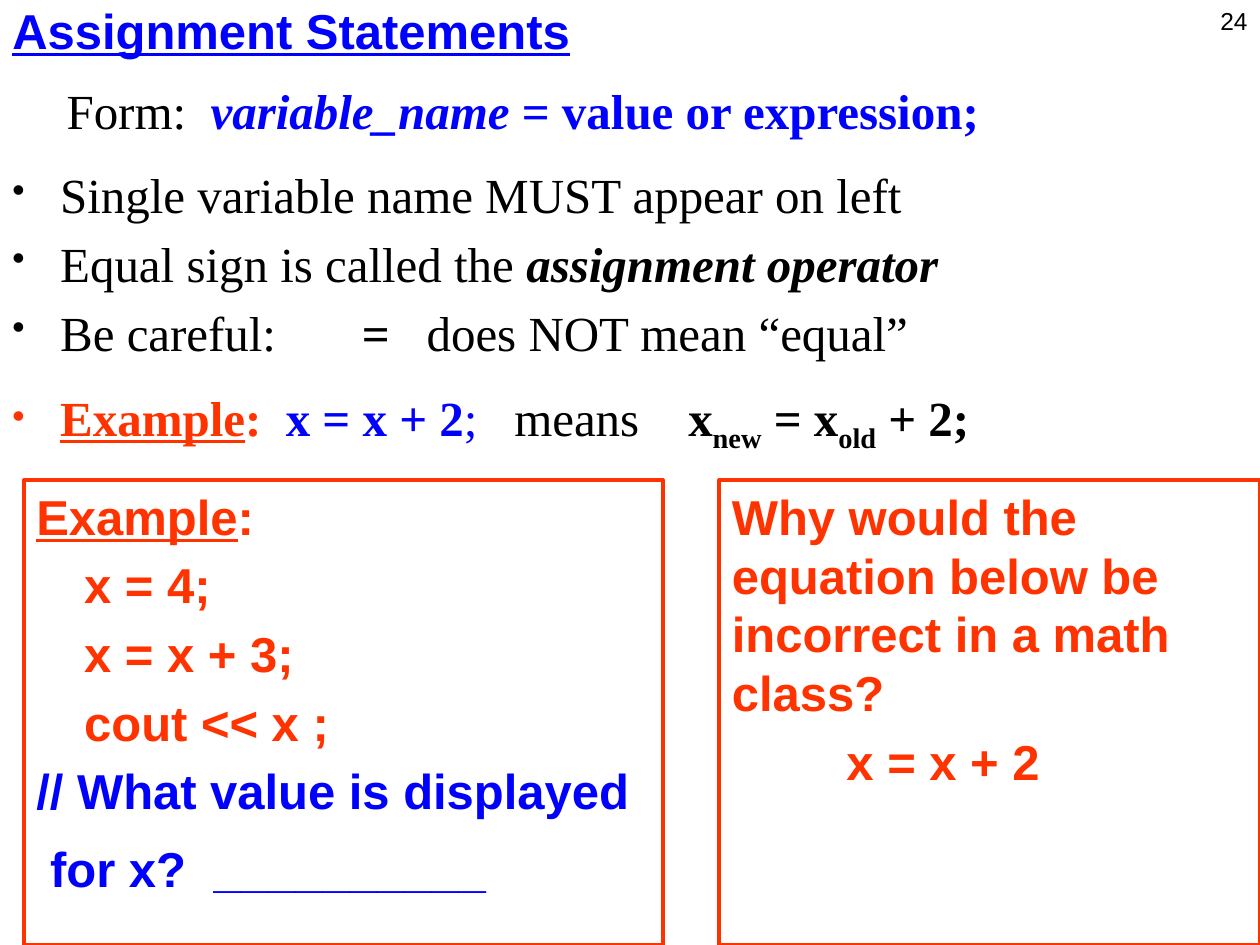
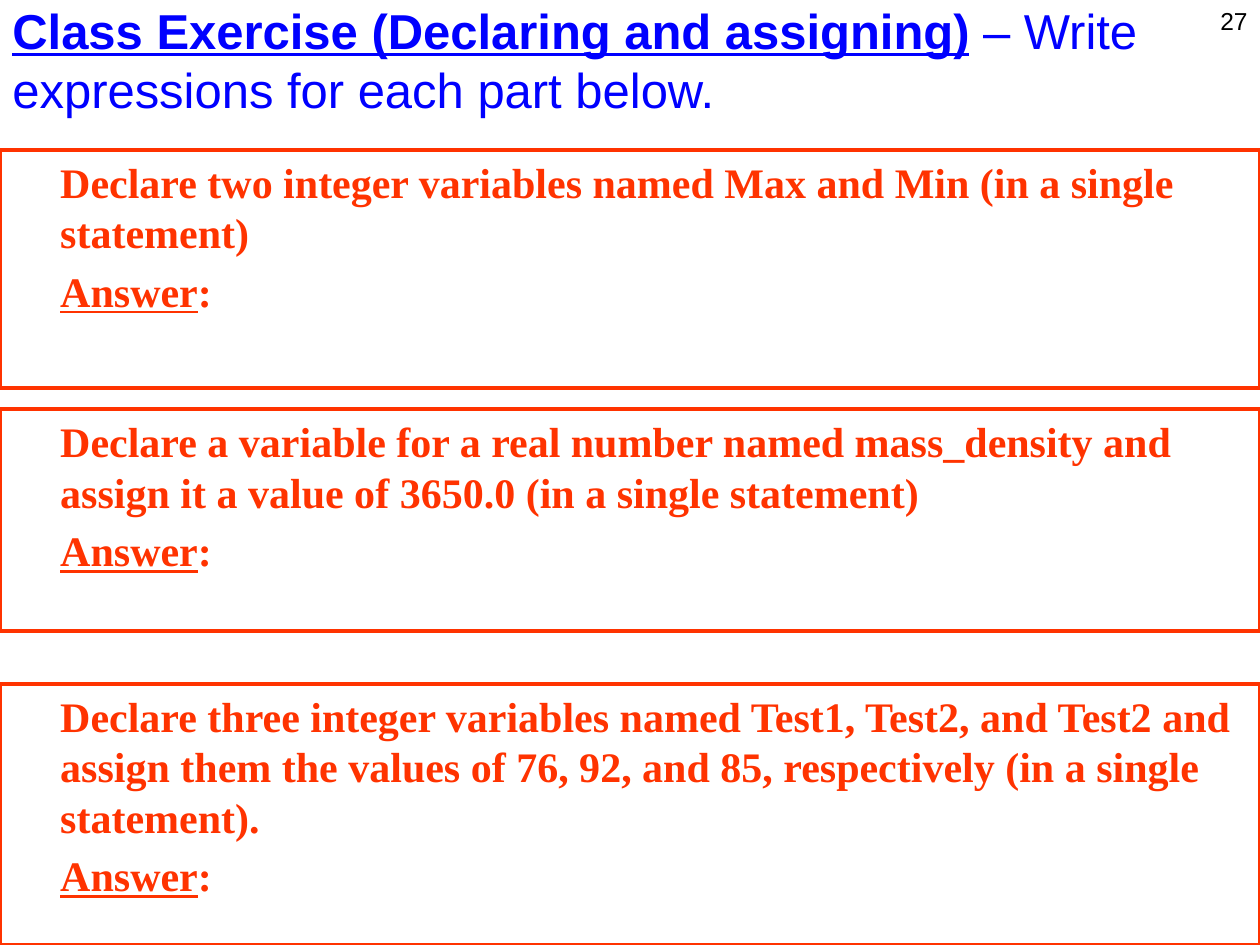
from lxml import etree
from pptx import Presentation
from pptx.dml.color import RGBColor
from pptx.enum import shapes, text
from pptx.oxml.ns import qn
from pptx.util import Inches, Pt

BLACK, BLUE, RED = "000000", "0000FF", "FF3300"
SANS, SERIF = "Arial", "Times New Roman"
HANG = 0.38


def color(value):
    return RGBColor.from_string(value)


def add_run(paragraph, words, size=28, font=SERIF, ink=BLACK, bold=False,
            italic=False, underline=False, gap=0, baseline=0):
    run = paragraph.add_run()
    run.text = words
    run.font.size = Pt(size)
    run.font.name = font
    run.font.bold = bold
    run.font.italic = italic
    run.font.underline = underline
    run.font.color.rgb = color(ink)
    properties = run._r.get_or_add_rPr()
    if gap:
        properties.set("spc", str(gap * 100))
    if baseline:
        properties.set("baseline", str(baseline * 1000))


class Deck:
    def __init__(self):
        self.file = Presentation()
        self.file.slide_width = Inches(10)
        self.file.slide_height = Inches(7.5)
        self.slide = None

    def start(self, number, title_runs, width, height):
        self.slide = self.file.slides.add_slide(self.file.slide_layouts[6])
        page = self.text_area(7.67, 0, 2.33, 0.52)
        self.paragraph(page, [(str(number), dict(size=14, font=SANS))],
                       align=text.PP_ALIGN.RIGHT)
        heading = self.text_area(0, 0, width, height)
        heading.vertical_anchor = text.MSO_ANCHOR.MIDDLE
        self.paragraph(heading, title_runs, font=SANS, ink=BLUE)

    def text_area(self, left, top, width, height, wrap=True):
        area = self.slide.shapes.add_textbox(
            Inches(left), Inches(top), Inches(width), Inches(height))
        area.text_frame.word_wrap = wrap
        return area.text_frame

    def outlined_box(self, left, top, width, height):
        box = self.slide.shapes.add_shape(
            shapes.MSO_SHAPE.RECTANGLE,
            Inches(left), Inches(top), Inches(width), Inches(height))
        box.shadow.inherit = False
        box.fill.background()
        box.line.color.rgb = color(RED)
        box.line.width = Pt(2.25)
        box.text_frame.word_wrap = True
        box.text_frame.vertical_anchor = text.MSO_ANCHOR.TOP
        return box.text_frame

    def paragraph(self, frame, runs, align=text.PP_ALIGN.LEFT, indent=0,
                  bullet=None, before=5.6, **style):
        first = frame.paragraphs[0]
        is_first = not first.runs
        paragraph = first if is_first else frame.add_paragraph()
        paragraph.alignment = align
        if not is_first:
            paragraph.space_before = Pt(before)
        properties = paragraph._p.get_or_add_pPr()
        properties.set("marL", str(Inches(indent)))
        properties.set("indent", str(-Inches(indent) if bullet else 0))
        if bullet:
            etree.SubElement(properties, qn("a:buSzPct")).set("val", "75000")
            etree.SubElement(properties, qn("a:buChar")).set("char", bullet)
        for words, changes in runs:
            add_run(paragraph, words, **{**style, **changes})

    def rules(self):
        form = self.text_area(0.43, 0.59, 7.61, 0.57, wrap=False)
        strong = dict(ink=BLUE, bold=True)
        self.paragraph(form, [
            ("Form:", {}), (" ", dict(gap=7)),
            ("variable_name ", dict(strong, italic=True)),
            ("= value or expression;", strong)])

        bold = dict(bold=True)
        below = dict(bold=True, baseline=-25)
        red = dict(ink=RED, bold=True)
        points = [
            [("Single variable name MUST appear on left", {})],
            [("Equal sign is called the ", {}),
             ("assignment operator", dict(bold=True, italic=True))],
            [("Be careful:", {}), (" ", dict(gap=42)), ("=", bold),
             (" ", dict(gap=14)), ("does NOT mean “equal”", {})],
            [("Example", dict(red, underline=True)), (":", red),
             (" ", dict(gap=7)), ("x = x + 2", strong), (";", dict(ink=BLUE)),
             (" ", dict(gap=14)), ("means", {}), (" ", dict(gap=21)),
             ("x", bold), ("new", below), (" = x", bold), ("old", below),
             (" + 2;", bold)],
        ]
        body = self.text_area(0, 1.26, 10, 2.56)
        for runs, before in zip(points, (0, 5.6, 5.6, 15)):
            self.paragraph(body, runs, indent=HANG, bullet="•", before=before)

    def code_example(self):
        style = dict(font=SANS, ink=RED, bold=True)
        example = self.outlined_box(0.19, 3.81, 5.07, 3.69)
        self.paragraph(example, [("Example", dict(underline=True)), (":", {})],
                       **style)
        for statement in ("x = 4;", "x = x + 3;", "cout << x ;"):
            self.paragraph(example, [(statement, {})], indent=HANG, **style)
        style["ink"] = BLUE
        self.paragraph(example, [("// What value is displayed", {})], **style)
        self.paragraph(example, [("for x?", {}), (" ", dict(gap=8)),
                                 ("__________", {})],
                       indent=0.11, before=10.5, **style)

    def math_question(self):
        style = dict(font=SANS, ink=RED, bold=True)
        question = self.outlined_box(5.71, 3.81, 4.29, 3.69)
        self.paragraph(question, [(
            "Why would the equation below be incorrect in a math class?", {})],
            **style)
        self.paragraph(question, [("x = x + 2", {})], indent=0.91, **style)

    def exercise(self, top, height, task):
        box = self.outlined_box(0, top, 10, height)
        style = dict(indent=HANG, before=4.8, size=24, ink=RED, bold=True)
        self.paragraph(box, [(task, {})], **style)
        self.paragraph(box, [("Answer", dict(underline=True)), (":", {})],
                       **style)


def main():
    deck = Deck()
    marked = dict(bold=True, underline=True)

    deck.start(24, [("Assignment Statements", marked)], 8.5, 0.47)
    deck.rules()
    deck.code_example()
    deck.math_question()

    deck.start(27, [("Class Exercise (Declaring and assigning)", marked),
                    (" – Write expressions for each part below.", {})],
               10, 0.94)
    exercises = [
        (1.19, 1.89, "Declare two integer variables named Max and Min "
                     "(in a single statement)"),
        (3.25, 1.76, "Declare a variable for a real number named mass_density "
                     "and assign it a value of 3650.0 (in a single statement)"),
        (5.43, 2.07, "Declare three integer variables named Test1, Test2, and "
                     "Test2 and assign them the values of 76, 92, and 85, "
                     "respectively (in a single statement)."),
    ]
    for top, height, task in exercises:
        deck.exercise(top, height, task)

    deck.file.save("out.pptx")


if __name__ == "__main__":
    main()
